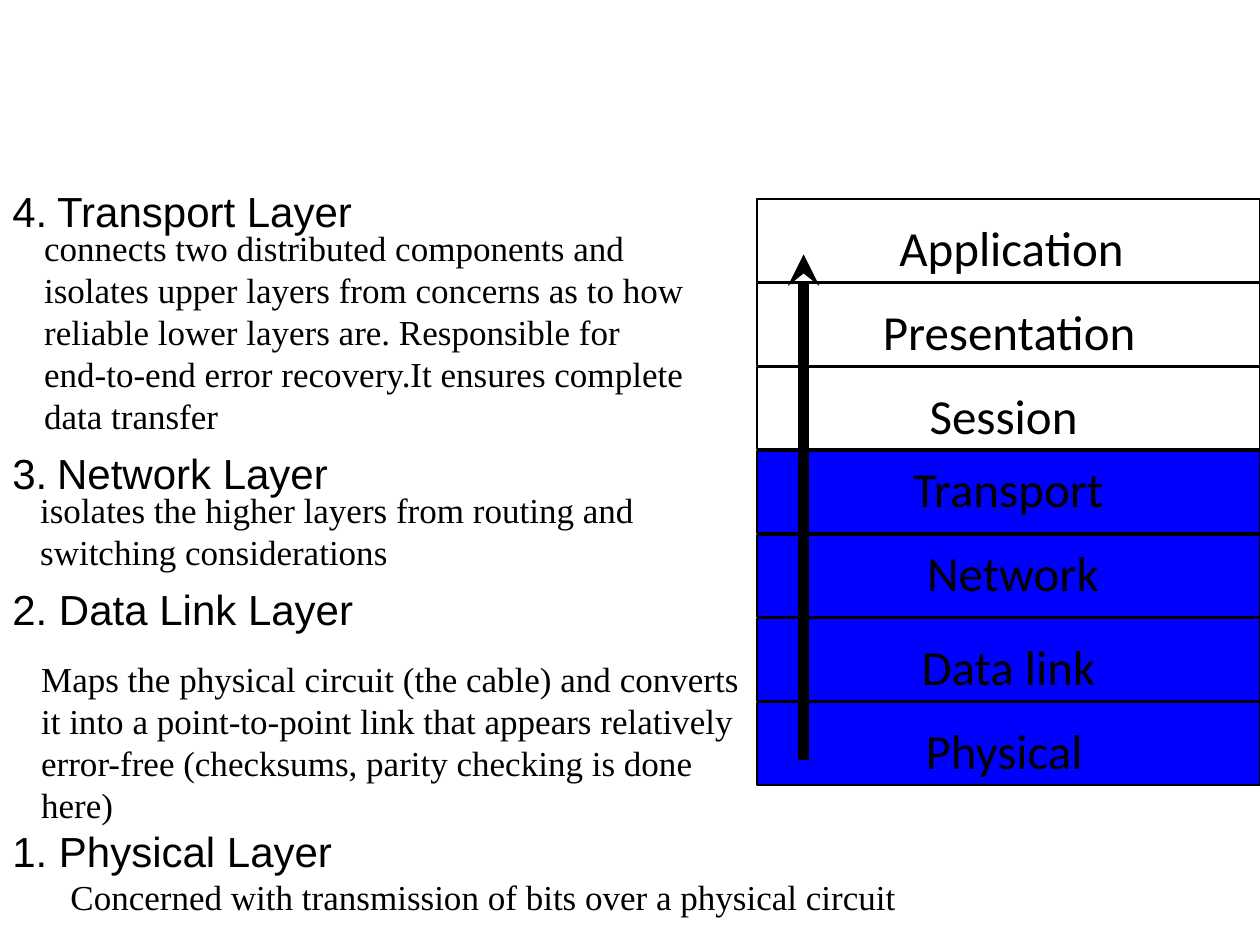
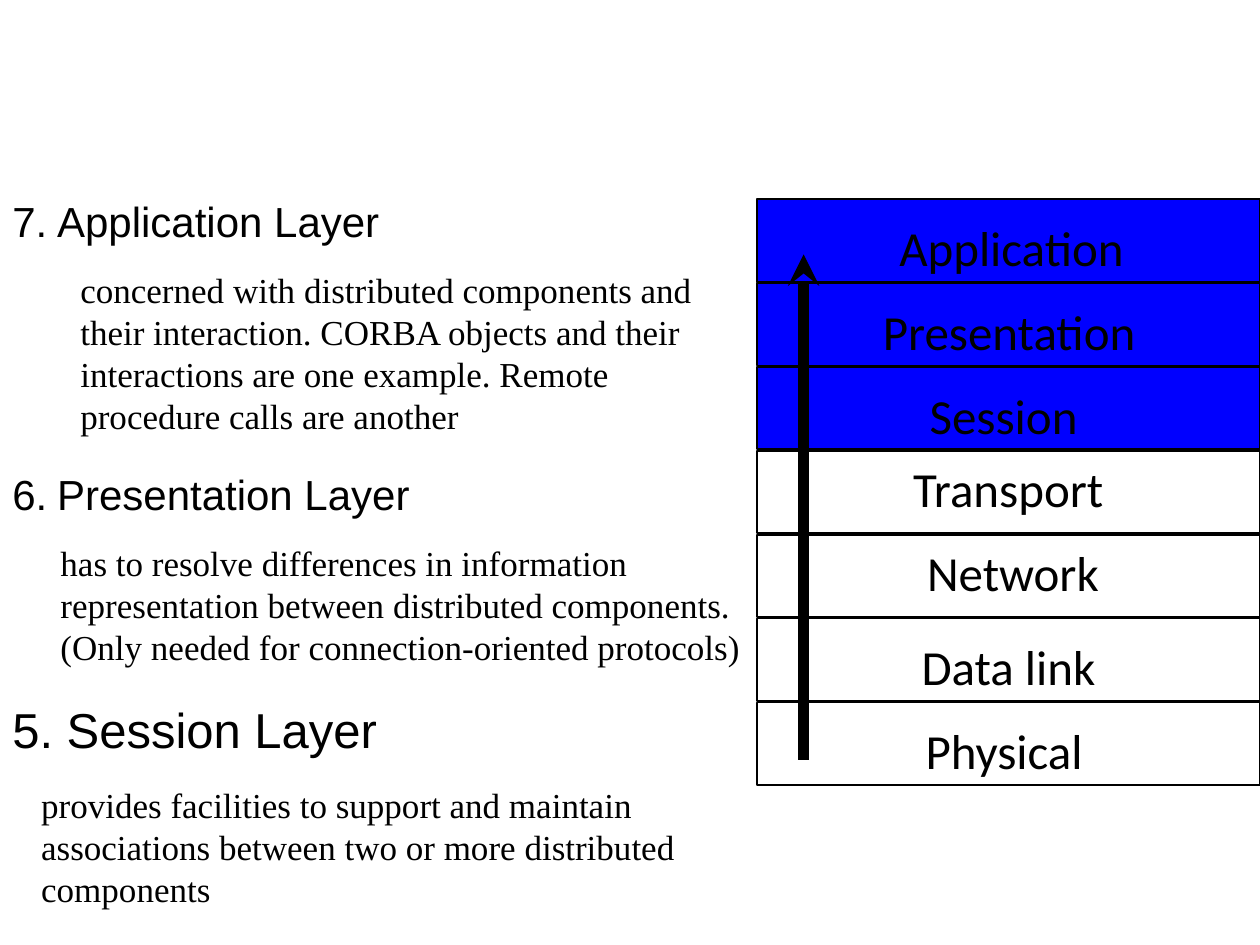
from pptx import Presentation
from pptx.dml.color import RGBColor
from pptx.enum.shapes import MSO_CONNECTOR, MSO_SHAPE
from pptx.enum.text import MSO_AUTO_SIZE
from pptx.oxml.ns import qn
from pptx.util import Cm, Pt
from lxml.etree import SubElement

BLACK, BLUE = "000000", "0000FF"
LABEL_FONT, HEADING_FONT, BODY_FONT = "Calibri", "Arial", "Times New Roman"

STACK_BOX = (15.26, 4.02, 10.14, 11.83)
LAYER_GAP = 0.03
LAYERS = [
    ("Application", 2.62, 0.24, 5.08),
    ("Presentation", 2.29, 0.24, 5.66),
    ("Session", 3.23, 0.24, 3.53),
    ("Transport", 2.9, 0.03, 4.37),
    ("Network", 3.18, 0.03, 4.01),
    ("Data link", 3.07, 0.24, 4.01),
    ("Physical", 3.15, 0.24, 3.71),
]

LOWER_LAYERS = [
    dict(number="4.", name="Transport Layer", top=3.61, gap_size=20,
         body="connects two distributed components and isolates upper layers from "
              "concerns as to how reliable lower layers are. Responsible for end-to-end "
              "error recovery.It ensures complete data transfer",
         body_box=(0.64, 0.84, 13.49, 4.52)),
    dict(number="3.", name="Network Layer", top=8.89, gap_size=20, width=9.58,
         body="isolates the higher layers from routing and switching considerations",
         body_box=(0.56, 0.84, 14.27, 3.5)),
    dict(number="2.", name="Data Link Layer", top=11.63,
         body="Maps the physical circuit (the cable) and converts it into a "
              "point-to-point link that appears relatively error-free (checksums, "
              "parity checking is done here)",
         body_box=(0.58, 1.5, 15.04, 3.68)),
    dict(number="1.", name="Physical Layer", top=16.51,
         body="Concerned with transmission of bits over a physical circuit",
         body_box=(1.17, 1.02, 17.58, 1.09)),
]
UPPER_LAYERS = [
    dict(number="7.", name="Application Layer", top=3.81, gap_size=20,
         body="concerned with distributed components and their interaction. CORBA "
              "objects and their interactions are one example. Remote procedure calls "
              "are another",
         body_box=(1.37, 1.48, 13.49, 3.63)),
    dict(number="6.", name="Presentation Layer", top=9.31, gap_size=20, width=9.58,
         body="has to resolve differences in information representation between "
              "distributed components. (Only needed for connection-oriented protocols)",
         body_box=(0.97, 1.48, 14.27, 4.37)),
    dict(number="5.", name="Session Layer", top=13.97, size=28,
         body="provides facilities to support and maintain associations between two "
              "or more distributed components",
         body_box=(0.58, 1.7, 15.04, 2.82)),
]


def color(hex_code):
    return RGBColor.from_string(hex_code)


def add_text(s, box, runs, font, wrap=True, spacing=None):
    tf = s.shapes.add_textbox(*map(Cm, box)).text_frame
    tf.word_wrap = wrap
    tf.auto_size = MSO_AUTO_SIZE.SHAPE_TO_FIT_TEXT
    p = tf.paragraphs[0]
    p.line_spacing = spacing
    for text, size in runs:
        r = p.add_run()
        r.text = text
        r.font.name = font
        r.font.size = Pt(size)
        r.font.color.rgb = color(BLACK)


def add_up_arrow(s, x, bottom, top):
    line = s.shapes.add_connector(MSO_CONNECTOR.STRAIGHT, Cm(x), Cm(bottom), Cm(x), Cm(top))
    line.line.color.rgb = color(BLACK)
    line.line.width = Pt(6)
    SubElement(line.line._get_or_add_ln(), qn("a:tailEnd"), type="stealth")
    SubElement(line._element.spPr, qn("a:effectLst"))


def add_layer_stack(s, box, highlighted):
    left, top, width, height = box
    pitch = height / len(LAYERS)
    for i, (name, dx, dy, label_width) in enumerate(LAYERS):
        y = top + i * pitch
        sp = s.shapes.add_shape(MSO_SHAPE.RECTANGLE, Cm(left), Cm(y),
                                Cm(width), Cm(pitch - LAYER_GAP))
        sp.shadow.inherit = False
        sp.line.color.rgb = color(BLACK)
        sp.line.width = Pt(1)
        if name in highlighted:
            sp.fill.solid()
            sp.fill.fore_color.rgb = color(BLUE)
        else:
            sp.fill.background()
        add_text(s, (left + dx, y + dy, label_width, 1.44), [(name, 28)],
                 LABEL_FONT, wrap=False)
    add_up_arrow(s, left + 0.94, top + 11.3, top + 1.11)


def add_layer_note(s, number, name, top, body, body_box, size=24, gap_size=None, width=8.59):
    runs = [(number, size), (" ", gap_size or size), (name, size)]
    add_text(s, (0, top, width, 1.27), runs, HEADING_FONT)
    left, dy, body_width, body_height = body_box
    add_text(s, (left, top + dy, body_width, body_height), [(body, 20)],
             BODY_FONT, spacing=Pt(24))


def add_layers_slide(prs, notes, highlighted):
    s = prs.slides.add_slide(prs.slide_layouts[6])
    for note in notes:
        add_layer_note(s, **note)
    add_layer_stack(s, STACK_BOX, highlighted)


def main():
    prs = Presentation()
    prs.slide_width, prs.slide_height = Cm(25.4), Cm(19.05)
    names = [layer[0] for layer in LAYERS]
    add_layers_slide(prs, LOWER_LAYERS, names[3:])
    add_layers_slide(prs, UPPER_LAYERS, names[:3])
    prs.save("out.pptx")


if __name__ == "__main__":
    main()
